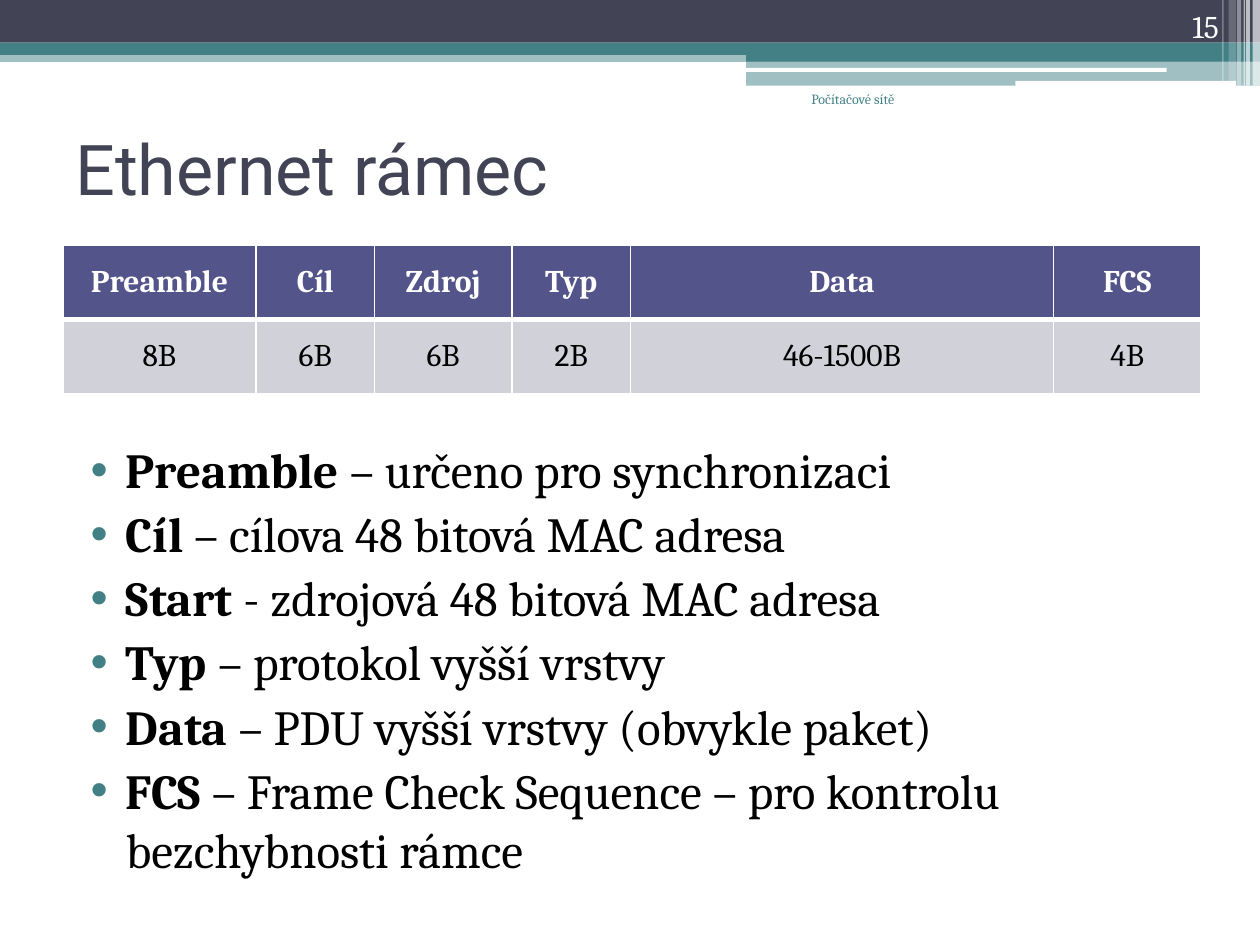
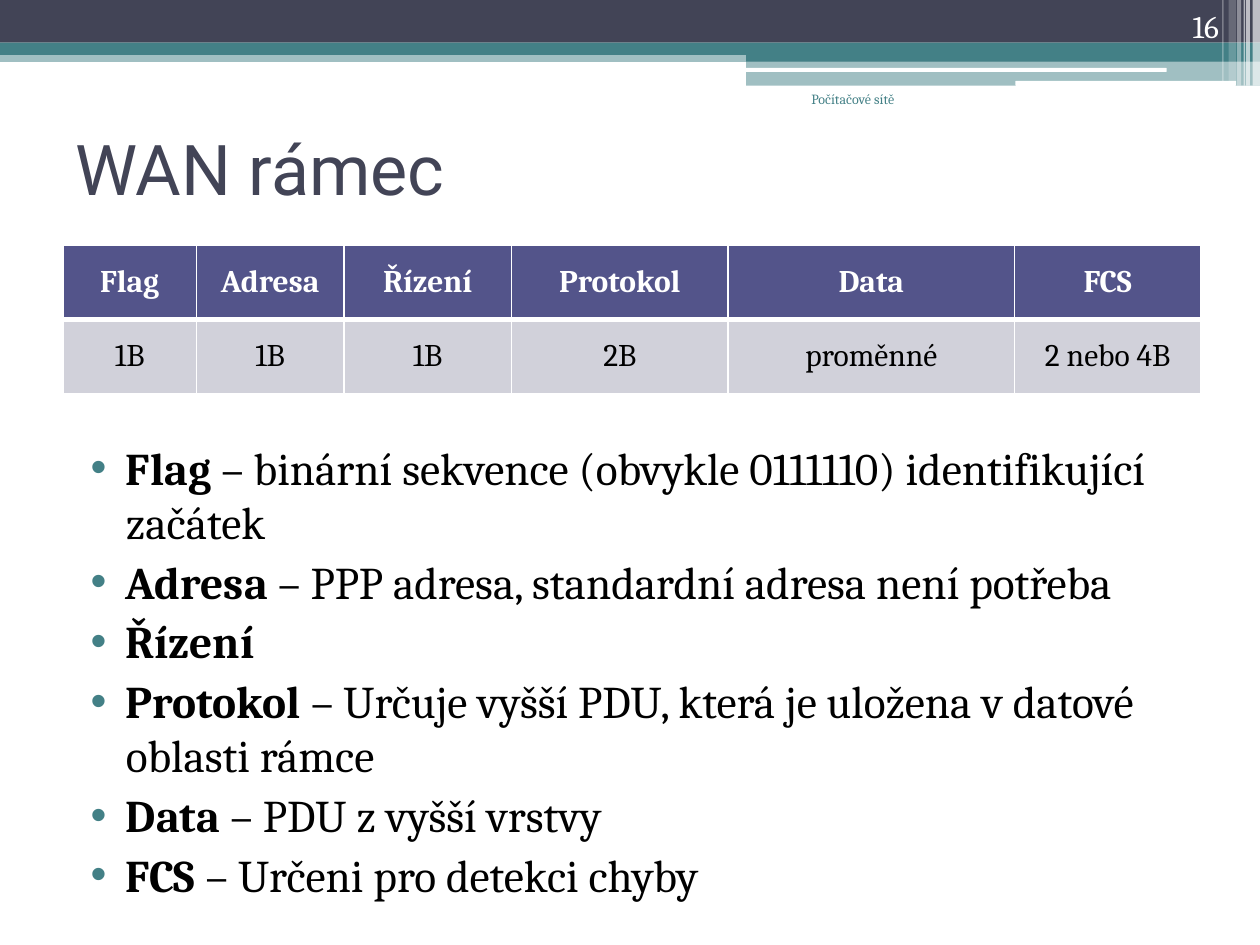
from lxml.etree import SubElement
from pptx import Presentation
from pptx.dml.color import RGBColor
from pptx.enum.shapes import MSO_SHAPE as Shape
from pptx.enum.text import MSO_ANCHOR as Anchor, PP_ALIGN as Align
from pptx.oxml.ns import qn
from pptx.util import Cm, Pt

# Colours and fonts
WHITE = RGBColor(0xFF, 0xFF, 0xFF)
BLACK = RGBColor(0x00, 0x00, 0x00)
SLATE = RGBColor(0x42, 0x44, 0x56)
TEAL = RGBColor(0x43, 0x80, 0x86)
INDIGO = RGBColor(0x53, 0x54, 0x8A)
PALE = RGBColor(0xD1, 0xD1, 0xDA)
HEAD_FONT, BODY_FONT = "Roboto", "Cambria"

WIDTH, HEIGHT = 25.4, 19.05  # cm
STEP_X = 15.04  # where the lower band begins

# Top bands: left, top, width, height, colour, opacity in percent
BANDS = [
    (0, 1.02, WIDTH, 0.23, TEAL, 50),
    (0, 0, WIDTH, 0.86, SLATE, 100),
    (0, 0.86, WIDTH, 0.25, TEAL, 100),
    (STEP_X, 0.99, WIDTH - STEP_X, 0.25, TEAL, 100),
    (STEP_X, 1.22, WIDTH - STEP_X, 0.51, TEAL, 50),
]
BARS = [(15.01, 1.37, 8.51, 0.08), (20.47, 1.63, 4.45, 0.1)]
# Stripes at the right edge: left, width, height, opacity
STRIPES = [
    (25.25, 0.15, 1.73, 65), (25.12, 0.08, 1.73, 65), (25.07, 0.03, 1.73, 60),
    (24.94, 0.08, 1.73, 40), (24.77, 0.15, 1.63, 20), (24.64, 0.03, 1.63, 30),
]

# Slide content: fields are name, size, column width in cm
FRAMES = [
    dict(
        title="Ethernet rámec", number=15, size=28,
        fields=[("Preamble", "8B", 3.89), ("Cíl", "6B", 2.39), ("Zdroj", "6B", 2.77),
                ("Typ", "2B", 2.39), ("Data", "46-1500B", 8.53), ("FCS", "4B", 2.97)],
        notes=[("Preamble", " – určeno pro synchronizaci"),
               ("Cíl", " – cílova 48 bitová MAC adresa"),
               ("Start", " - zdrojová 48 bitová MAC adresa"),
               ("Typ", " – protokol vyšší vrstvy"),
               ("Data", " – PDU vyšší vrstvy (obvykle paket)"),
               ("FCS", " – Frame Check Sequence – pro kontrolu bezchybnosti rámce")],
    ),
    dict(
        title="WAN rámec", number=16, size=25.9,
        fields=[("Flag", "1B", 2.69), ("Adresa", "1B", 2.97), ("Řízení", "1B", 3.38),
                ("Protokol", "2B", 4.37), ("Data", "proměnné", 5.77),
                ("FCS", "2 nebo 4B", 3.76)],
        notes=[("Flag", " – binární sekvence (obvykle 0111110) identifikující začátek"),
               ("Adresa", " – PPP adresa, standardní adresa není potřeba"),
               ("Řízení", ""),
               ("Protokol", " – Určuje vyšší PDU, která je uložena v datové oblasti rámce"),
               ("Data", " – PDU z vyšší vrstvy"),
               ("FCS", " – Určeni pro detekci chyby")],
    ),
]


class Deck:
    def __init__(self):
        self.prs = Presentation()
        self.prs.slide_width, self.prs.slide_height = Cm(WIDTH), Cm(HEIGHT)
        self.s = None

    def new_slide(self, number):
        self.s = self.prs.slides.add_slide(self.prs.slide_layouts[6])
        for band in BANDS:
            self.block(*band)
        for bar in BARS:
            self.block(*bar, WHITE, kind=Shape.ROUNDED_RECTANGLE)
        for x, w, h, opacity in STRIPES:
            self.block(x, 0, w, h, WHITE, opacity)
        self.label("Počítačové sítě", 14.6, 1.7, 3.68, 1.27, 8, TEAL, align=Align.RIGHT)
        self.label(str(number), 22.71, 0, 2.11, 1.02, 18, WHITE,
                   align=Align.RIGHT, anchor=Anchor.BOTTOM)

    def block(self, x, y, w, h, color, opacity=100, kind=Shape.RECTANGLE):
        sp = self.s.shapes.add_shape(kind, Cm(x), Cm(y), Cm(w), Cm(h))
        sp.shadow.inherit = False
        sp.line.fill.background()
        sp.fill.solid()
        sp.fill.fore_color.rgb = color
        if opacity < 100:
            clr = sp.fill._xPr.find(".//" + qn("a:srgbClr"))
            SubElement(clr, qn("a:alpha"), val=str(opacity * 1000))

    def run(self, p, text, size, color, font=BODY_FONT, bold=False):
        r = p.add_run()
        r.text = text
        r.font.size, r.font.name, r.font.bold = Pt(size), font, bold
        r.font.color.rgb = color

    def frame(self, x, y, w, h, anchor=Anchor.TOP):
        tf = self.s.shapes.add_textbox(Cm(x), Cm(y), Cm(w), Cm(h)).text_frame
        tf.word_wrap = True
        tf.vertical_anchor = anchor
        return tf

    def label(self, text, x, y, w, h, size, color, font=BODY_FONT,
              align=Align.LEFT, anchor=Anchor.TOP):
        p = self.frame(x, y, w, h, anchor).paragraphs[0]
        p.alignment = align
        self.run(p, text, size, color, font)

    def title(self, text):
        self.label(text, 1.27, 2.39, 22.86, 1.98, 40, SLATE, HEAD_FONT,
                   anchor=Anchor.MIDDLE)

    def bullets(self, notes, size):
        tf = self.frame(1.27, 8.74, 22.86, 9.73)
        for i, (term, meaning) in enumerate(notes):
            p = tf.add_paragraph() if i else tf.paragraphs[0]
            p.space_before = Pt(3)
            pPr = p._p.get_or_add_pPr()
            pPr.set("marL", str(Cm(1.02)))
            pPr.set("indent", str(Cm(-0.71)))
            SubElement(SubElement(pPr, qn("a:buClr")), qn("a:srgbClr"), val=str(TEAL))
            SubElement(pPr, qn("a:buFont"), typeface="Arial")
            SubElement(pPr, qn("a:buChar"), char="•")
            self.run(p, term, size, BLACK, bold=True)
            if meaning:
                self.run(p, meaning, size, BLACK)

    def table(self, fields):
        widths = [Cm(w) for *_, w in fields]
        tbl = self.s.shapes.add_table(2, len(fields), Cm(1.27), Cm(4.95),
                                      sum(widths), Cm(2.98)).table
        for col, (name, size, _) in enumerate(fields):
            tbl.columns[col].width = widths[col]
            self.cell(tbl.cell(0, col), name, INDIGO, WHITE, True, bottom=3)
            self.cell(tbl.cell(1, col), size, PALE, BLACK, False, top=3)

    def cell(self, cell, text, fill, color, bold, top=1, bottom=1):
        tcPr = cell._tc.get_or_add_tcPr()
        for side, width in zip("LRTB", (1, 1, top, bottom)):
            ln = SubElement(tcPr, qn("a:ln" + side), w=str(Pt(width)))
            SubElement(SubElement(ln, qn("a:solidFill")), qn("a:srgbClr"), val=str(WHITE))
        cell.fill.solid()
        cell.fill.fore_color.rgb = fill
        cell.vertical_anchor = Anchor.MIDDLE
        p = cell.text_frame.paragraphs[0]
        p.alignment = Align.CENTER
        self.run(p, text, 18, color, bold=bold)


def main():
    deck = Deck()
    for frame in FRAMES:
        deck.new_slide(frame["number"])
        deck.title(frame["title"])
        deck.bullets(frame["notes"], frame["size"])
        deck.table(frame["fields"])
    deck.prs.save("out.pptx")


if __name__ == "__main__":
    main()
